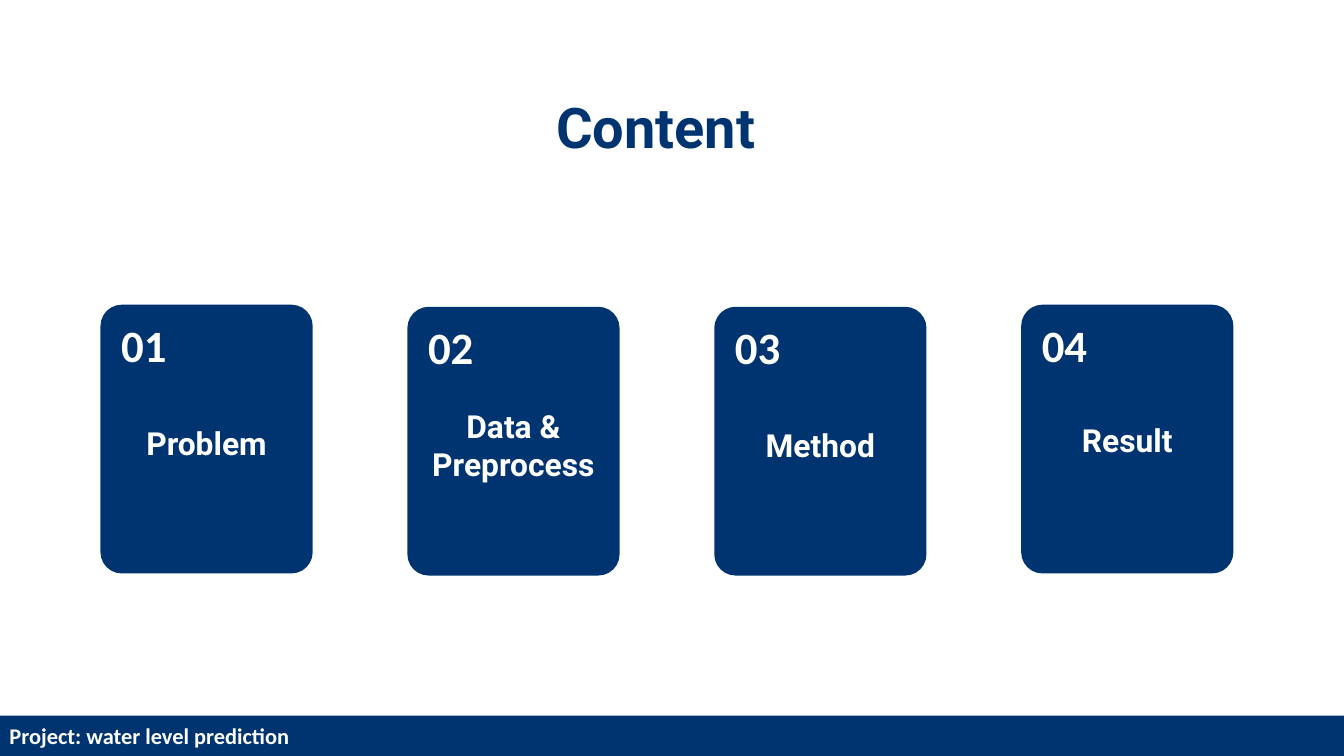
from pptx import Presentation
from pptx.dml.color import RGBColor
from pptx.enum.shapes import MSO_SHAPE as Shape
from pptx.enum.text import MSO_ANCHOR as Anchor, MSO_AUTO_SIZE as AutoSize, PP_ALIGN as Align
from pptx.util import Cm, Pt

NAVY = RGBColor(0x00, 0x34, 0x70)
WHITE = RGBColor(0xFF, 0xFF, 0xFF)

WIDTH, HEIGHT = 25.4, 14.29
FOOTER_HEIGHT = 0.76
CARD_LEFT, CARD_PITCH = 1.9, 5.8
CARD_WIDTH, CARD_HEIGHT = 4.01, 5.08
LABEL_WIDTH, LABEL_LINE, LABEL_CENTRE = 3.56, 0.73, 2.62

# Label, card top, number of lines, line spacing
CARDS = [
    ("Problem", 5.76, 1, 1.0),
    ("Data & Preprocess", 5.8, 2, 1.0),
    ("Method", 5.8, 1, 1.0),
    ("Result", 5.76, 1, 0.8),
]


class ContentSlide:
    heading_font = "Roboto"
    body_font = "Calibri"

    def __init__(self, deck):
        self.slide = deck.slides.add_slide(deck.slide_layouts[5])

    def fill_text(self, frame, text, size, font, color, align=Align.LEFT,
                  anchor=Anchor.TOP, inset=(0.18, 0.1), spacing=1.0):
        frame.word_wrap = True
        frame.auto_size = AutoSize.NONE
        frame.vertical_anchor = anchor
        frame.margin_left = frame.margin_right = Cm(inset[0])
        frame.margin_top = frame.margin_bottom = Cm(inset[1])
        paragraph = frame.paragraphs[0]
        paragraph.alignment = align
        paragraph.line_spacing = spacing
        run = paragraph.add_run()
        run.text = text
        run.font.name = font
        run.font.size = Pt(size)
        run.font.bold = True
        run.font.color.rgb = color

    def title(self, text, left, top, width, height):
        heading = self.slide.shapes.title
        heading.left, heading.top = Cm(left), Cm(top)
        heading.width, heading.height = Cm(width), Cm(height)
        self.fill_text(heading.text_frame, text, 30, self.heading_font, NAVY,
                       Align.CENTER, spacing=0.8)

    def panel(self, kind, left, top, width, height):
        panel = self.slide.shapes.add_shape(
            kind, Cm(left), Cm(top), Cm(width), Cm(height))
        panel.shadow.inherit = False
        panel.fill.solid()
        panel.fill.fore_color.rgb = NAVY
        panel.line.fill.background()
        return panel

    def text(self, text, left, top, width, height, size, font, **style):
        box = self.slide.shapes.add_textbox(
            Cm(left), Cm(top), Cm(width), Cm(height))
        self.fill_text(box.text_frame, text, size, font, WHITE, **style)

    def footer(self, text):
        band = self.panel(Shape.RECTANGLE, 0, HEIGHT - FOOTER_HEIGHT,
                          WIDTH, FOOTER_HEIGHT)
        self.fill_text(band.text_frame, text, 12, self.body_font, WHITE,
                       anchor=Anchor.MIDDLE)

    def card(self, number, label, left, top, lines, spacing):
        card = self.panel(Shape.ROUNDED_RECTANGLE, left, top,
                          CARD_WIDTH, CARD_HEIGHT)
        card.adjustments[0] = 0.1
        self.text(f"{number:02d}", left + 0.21, top + 0.14, 2, 1.22,
                  24, self.body_font)
        label_height = lines * LABEL_LINE * spacing
        self.text(label, left + (CARD_WIDTH - LABEL_WIDTH) / 2,
                  top + LABEL_CENTRE - label_height / 2,
                  LABEL_WIDTH, label_height, 17, self.heading_font,
                  align=Align.CENTER, inset=(0, 0), spacing=spacing)


def main():
    deck = Presentation()
    deck.slide_width, deck.slide_height = Cm(WIDTH), Cm(HEIGHT)
    content = ContentSlide(deck)

    # Footer band
    content.footer("Project: water level prediction")

    # Numbered section cards
    for index, (label, top, lines, spacing) in enumerate(CARDS):
        content.card(index + 1, label, CARD_LEFT + index * CARD_PITCH,
                     top, lines, spacing)

    # Title
    content.title("Content", 7.52, 1.9, 9.75, 1.25)

    deck.save("out.pptx")


if __name__ == "__main__":
    main()
